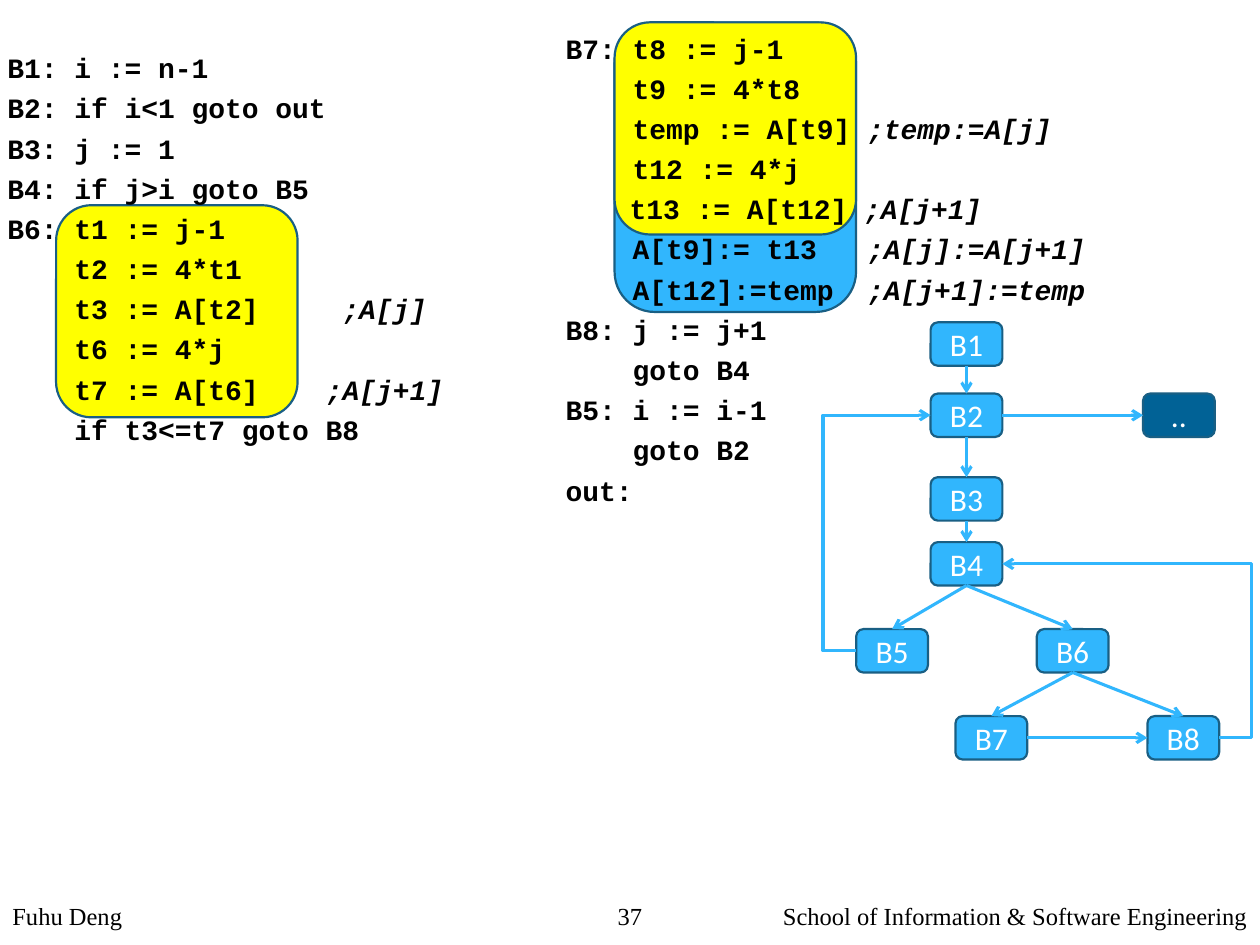
"""Build a slide with three-address code beside its flow graph."""
from typing import NamedTuple, Optional

from lxml.etree import SubElement
from pptx import Presentation
from pptx.dml.color import RGBColor
from pptx.enum.shapes import MSO_CONNECTOR as Conn, MSO_SHAPE as Shape
from pptx.enum.text import MSO_ANCHOR as Anchor, PP_ALIGN as Align
from pptx.oxml.ns import qn
from pptx.util import Pt

HUES = {
    "ink": "000000", "white": "FFFFFF", "blue": "31B6FD",
    "navy": "016296", "edge": "195F84", "yellow": "FFFF00",
}
NODE_W, NODE_H = 41, 24.8
MID = 531.8

LEFT = """B1: i := n-1
B2: if i<1 goto out
B3: j := 1
B4: if j>i goto B5
B6: t1 := j-1
    t2 := 4*t1
    t3 := A[t2]     ;A[j]
    t6 := 4*j
    t7 := A[t6]    ;A[j+1]
    if t3<=t7 goto B8"""

RIGHT = """B7: t8 := j-1
    t9 := 4*t8
    temp := A[t9] ;temp:=A[j]
    t12 := 4*j
 \t t13 := A[t12] ;A[j+1]
    A[t9]:= t13   ;A[j]:=A[j+1]
    A[t12]:=temp  ;A[j+1]:=temp
B8: j := j+1
    goto B4
B5: i := i-1
    goto B2
out:"""


class Box(NamedTuple):
    x: float
    y: float
    w: float
    h: float
    fill: str = "blue"
    text: str = ""


class Foot(NamedTuple):
    x: float
    w: float
    text: str
    align: Align


class Edge(NamedTuple):
    src: str
    out: str
    dst: str
    into: str
    lane: Optional[float] = None


def node(text: str, x: float, y: float, fill: str = "blue") -> Box:
    """Return a graph node of the common size."""
    return Box(x, y, NODE_W, NODE_H, fill, text)


CARDS = [
    Box(351.2, 12.8, 138, 165.5),
    Box(351.2, 12.8, 138, 121.2, "yellow"),
    Box(32.1, 117.3, 138, 121.2, "yellow"),
]
NODES = {n.text: n for n in [
    node("B1", MID, 184.2), node("B2", MID, 224.9), node("B3", MID, 272.7),
    node("B4", MID, 309.8), node("B5", 489.3, 359.5),
    node("B6", 592.5, 359.5), node("B7", 546, 409.2),
    node("B8", 655.7, 409.2), node("..", 653.2, 224.9, "navy"),
]}
EDGES = [
    Edge("B1", "bottom", "B2", "top"),
    Edge("B2", "bottom", "B3", "top"),
    Edge("B3", "bottom", "B4", "top"),
    Edge("B4", "bottom", "B5", "top"),
    Edge("B4", "bottom", "B6", "top"),
    Edge("B6", "bottom", "B7", "top"),
    Edge("B6", "bottom", "B8", "top"),
    Edge("B2", "right", "..", "left"),
    Edge("B7", "right", "B8", "left"),
    Edge("B5", "left", "B2", "left", 470.3),
    Edge("B8", "right", "B4", "right", 715),
]
FEET = [
    Foot(0, 337.5, "Fuhu Deng", Align.LEFT),
    Foot(337.5, 45, "37", Align.CENTER),
    Foot(382.5, 337.5, "School of Information & Software Engineering", Align.RIGHT),
]
SIDES = {"top": (0.5, 0), "bottom": (0.5, 1), "left": (0, 0.5), "right": (1, 0.5)}


def hue(name: str) -> RGBColor:
    """Return the named colour."""
    return RGBColor.from_string(HUES[name])


def style(run, face: str, size: float, ink: str = "ink") -> None:
    """Set the face, size and colour of a run."""
    run.font.name = face
    run.font.size = Pt(size)
    run.font.color.rgb = hue(ink)


def draw_box(slide, box: Box) -> None:
    """Draw a rounded box with an optional label."""
    shape = slide.shapes.add_shape(
        Shape.ROUNDED_RECTANGLE, Pt(box.x), Pt(box.y), Pt(box.w), Pt(box.h))
    shape.shadow.inherit = False
    shape.fill.solid()
    shape.fill.fore_color.rgb = hue(box.fill)
    shape.line.color.rgb = hue("edge")
    shape.line.width = Pt(1.25)
    if box.text:
        frame = shape.text_frame
        frame.margin_top = frame.margin_bottom = 0
        frame.vertical_anchor = Anchor.MIDDLE
        frame.text = box.text
        para = frame.paragraphs[0]
        para.alignment = Align.CENTER
        style(para.runs[0], "Calibri", 18, "white")


def draw_code(slide, x: float, y: float, w: float, code: str) -> None:
    """Write a code listing with its notes in italics."""
    frame = slide.shapes.add_textbox(Pt(x), Pt(y), Pt(w), Pt(392.4)).text_frame
    frame.word_wrap = True
    frame.margin_top = Pt(3.2)
    for i, line in enumerate(code.split("\n")):
        para = frame.paragraphs[0] if i == 0 else frame.add_paragraph()
        head, mark, note = line.partition(";")
        para.text = head
        if mark:
            run = para.add_run()
            run.text = mark + note
            run.font.italic = True
        props = para._p.get_or_add_pPr()
        props.set("marL", str(Pt(27)))
        props.set("indent", str(Pt(-27)))
        para.line_spacing = 1.03
        para.space_before = Pt(3.2 if i else 0)
        for run in para.runs:
            style(run, "Courier New", 16)
            run.font.bold = True


def draw_foot(slide, foot: Foot) -> None:
    """Write one part of the footer."""
    frame = slide.shapes.add_textbox(
        Pt(foot.x), Pt(511.2), Pt(foot.w), Pt(28.8)).text_frame
    frame.word_wrap = True
    frame.text = foot.text
    para = frame.paragraphs[0]
    para.alignment = foot.align
    style(para.runs[0], "Times New Roman", 14)


def port(name: str, side: str) -> tuple[float, float]:
    """Return the middle of one side of a node."""
    box, (u, v) = NODES[name], SIDES[side]
    return box.x + u * box.w, box.y + v * box.h


def draw_edge(slide, edge: Edge) -> None:
    """Draw an arrow, bent through its lane where it has one."""
    x1, y1 = port(edge.src, edge.out)
    x2, y2 = port(edge.dst, edge.into)
    kind = Conn.STRAIGHT if edge.lane is None else Conn.ELBOW
    link = slide.shapes.add_connector(kind, Pt(x1), Pt(y1), Pt(x2), Pt(y2))
    link.line.color.rgb = hue("blue")
    link.line.width = Pt(1.75)
    props = link._element.spPr
    SubElement(link.line._get_or_add_ln(), qn("a:tailEnd"), type="arrow")
    SubElement(props, qn("a:effectLst"))
    if edge.lane is not None:
        bend = round((edge.lane - x1) / (x2 - x1) * 100000)
        geom = props.find(qn("a:prstGeom"))
        guides = geom.find(qn("a:avLst"))
        if guides is None:
            guides = SubElement(geom, qn("a:avLst"))
        SubElement(guides, qn("a:gd"), name="adj1", fmla=f"val {bend}")


def main() -> None:
    """Build and save the slide."""
    deck = Presentation()
    deck.slide_width, deck.slide_height = Pt(720), Pt(540)
    slide = deck.slides.add_slide(deck.slide_layouts[6])
    for foot in FEET:
        draw_foot(slide, foot)
    for card in CARDS:
        draw_box(slide, card)
    draw_code(slide, -2.9, 25.2, 318.2, LEFT)
    draw_code(slide, 316.1, 14, 329.8, RIGHT)
    for box in NODES.values():
        draw_box(slide, box)
    for edge in EDGES:
        draw_edge(slide, edge)
    deck.save("out.pptx")


if __name__ == "__main__":
    main()
